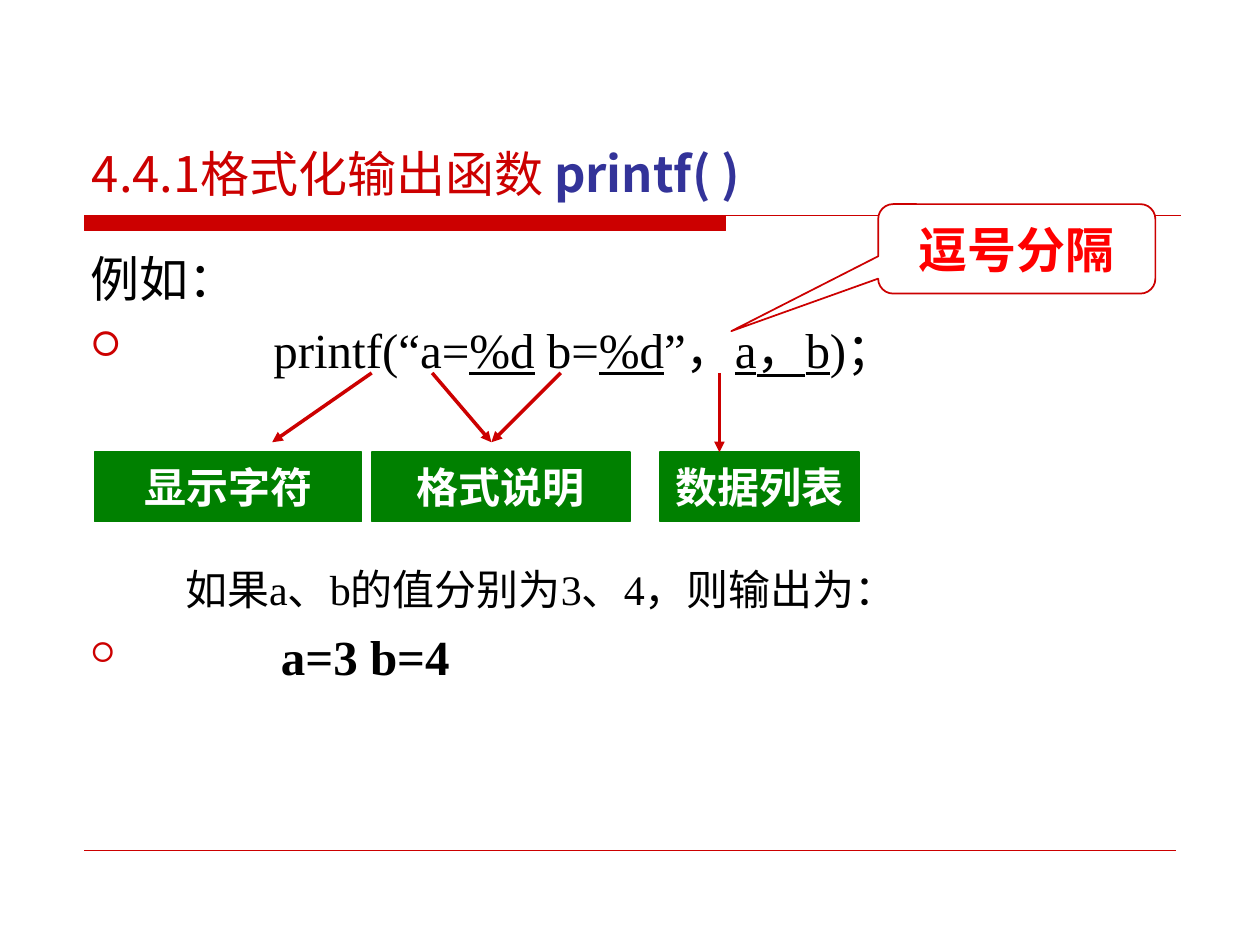
from lxml import etree
from pptx import Presentation
from pptx.dml.color import RGBColor
from pptx.enum.shapes import MSO_CONNECTOR, MSO_SHAPE
from pptx.enum.text import MSO_ANCHOR, MSO_AUTO_SIZE, PP_ALIGN
from pptx.oxml.ns import qn
from pptx.util import Inches, Pt

LEFT, CENTER = PP_ALIGN.LEFT, PP_ALIGN.CENTER
TOP, MIDDLE, BOTTOM = MSO_ANCHOR.TOP, MSO_ANCHOR.MIDDLE, MSO_ANCHOR.BOTTOM
RECT, CALLOUT = MSO_SHAPE.RECTANGLE, MSO_SHAPE.ROUNDED_RECTANGULAR_CALLOUT
STRAIGHT, NO_FIT = MSO_CONNECTOR.STRAIGHT, MSO_AUTO_SIZE.NONE

THEME = {
    "red": "CC0000", "blue": "333399", "green": "008000", "hot": "FF0000",
    "white": "FFFFFF", "black": "000000",
    "head": "Noto Sans CJK SC", "serif": "Times New Roman",
    "label": "DejaVu Sans", "asian": "Noto Sans CJK SC", "mark": "Wingdings",
    "big": 28, "small": 24,
}

TITLE = [("4.4.1格式化输出函数 ", "red", False), ("printf( )", "blue", True)]

# Runs are (text, underlined); bullet is a percentage of the text size.
BODY = [
    {"runs": [("例如：", False)], "size": "big", "indent": 0, "before": 0},
    {"runs": [("printf(“a=", False), ("%d", True), (" b=", False),
              ("%d", True), ("”，", False), ("a，b", True), (")；", False)],
     "size": "big", "indent": 1.45, "before": 7, "bullet": 70},
    {"runs": [("如果a、b的值分别为3、4，则输出为：", False)],
     "size": "small", "indent": 0.75, "before": 106},
    {"runs": [("a=3 b=4", False)], "size": "big", "indent": 1.51,
     "before": 7, "bullet": 56, "bold": True},
]

LABELS = [("显示字符", 0.75, 2.12), ("格式说明", 2.95, 2.05), ("数据列表", 5.24, 1.58)]
LABEL_TOP, LABEL_HIGH = 3.59, 0.55
ARROW_TOP = 2.96
ARROWS = [(2.95, 2.16, 3.51), (3.43, 3.9, 3.51), (4.45, 3.9, 3.51),
          (5.71, 5.71, LABEL_TOP)]


def color(name):
    return RGBColor.from_string(THEME[name])


def style(run, face, size, tint, bold=False, under=False):
    font = run.font
    font.name, font.size = THEME[face], Pt(THEME[size])
    font.bold, font.underline = bold, under
    font.color.rgb = color(tint)
    latin = run._r.rPr.find(qn("a:latin"))
    asian = etree.Element(qn("a:ea"), typeface=THEME["asian"])
    latin.addnext(asian)


def place(shape, left, top, wide, high, anchor):
    shape.left, shape.top = Inches(left), Inches(top)
    shape.width, shape.height = Inches(wide), Inches(high)
    frame = shape.text_frame
    frame.auto_size, frame.word_wrap = NO_FIT, True
    frame.vertical_anchor = anchor
    return frame


def mark(para, indent, bullet):
    """Set the hanging indent and the square bullet, or none."""
    props = para._p.get_or_add_pPr()
    props.set("marL", str(Inches(indent)))
    props.set("indent", str(-Inches(indent) if bullet else 0))
    if not bullet:
        etree.SubElement(props, qn("a:buNone"))
        return
    tint = etree.SubElement(props, qn("a:buClr"))
    etree.SubElement(tint, qn("a:srgbClr"), val=THEME["red"])
    etree.SubElement(props, qn("a:buSzPct"), val=str(bullet * 1000))
    etree.SubElement(props, qn("a:buFont"), typeface=THEME["mark"])
    etree.SubElement(props, qn("a:buChar"), char="□")


def box(slide, kind, area, fill, edge, width=1):
    shape = slide.shapes.add_shape(kind, *map(Inches, area))
    shape.shadow.inherit = False
    shape.fill.solid()
    shape.fill.fore_color.rgb = color(fill)
    shape.line.color.rgb = color(edge)
    shape.line.width = Pt(width)
    return shape


def label(shape, text, size, tint, wrap):
    frame = shape.text_frame
    frame.word_wrap, frame.vertical_anchor = wrap, MIDDLE
    frame.text = text
    para = frame.paragraphs[0]
    para.alignment = CENTER
    style(para.runs[0], "label", size, tint, bold=True)


def rule(slide, start, end, width, arrow=False):
    line = slide.shapes.add_connector(STRAIGHT, *map(Inches, start + end))
    line.line.color.rgb = color("red")
    line.line.width = Pt(width)
    if arrow:
        etree.SubElement(line.line._get_or_add_ln(), qn("a:tailEnd"), type="triangle")
    etree.SubElement(line._element.spPr, qn("a:effectLst"))


def main():
    deck = Presentation()
    deck.slide_width, deck.slide_height = Inches(10), Inches(7.5)
    slide = deck.slides.add_slide(deck.slide_layouts[1])
    title, body = slide.placeholders

    frame = place(title, 0.63, 0.33, 8.75, 1.33, BOTTOM)
    para = frame.paragraphs[0]
    para.alignment = LEFT
    for text, tint, bold in TITLE:
        run = para.add_run()
        run.text = text
        style(run, "head", "big", tint, bold)

    frame = place(body, 0.62, 1.92, 8.75, 4.67, TOP)
    for i, item in enumerate(BODY):
        para = frame.add_paragraph() if i else frame.paragraphs[0]
        para.alignment, para.space_before = LEFT, Pt(item["before"])
        mark(para, item["indent"], item.get("bullet"))
        for text, under in item["runs"]:
            run = para.add_run()
            run.text = text
            style(run, "serif", item["size"], "black", item.get("bold", False), under)

    box(slide, RECT, (0.67, 1.71, 5.09, 0.12), "red", "red", 0.75)
    rule(slide, (0.67, 1.71), (9.37, 1.71), 0.75)
    rule(slide, (0.67, 6.75), (9.33, 6.75), 0.25)

    for text, left, wide in LABELS:
        area = (left, LABEL_TOP, wide, LABEL_HIGH)
        label(box(slide, RECT, area, "green", "green"), text, "small", "white", False)
    for start, end, low in ARROWS:
        rule(slide, (start, ARROW_TOP), (end, low), 2, arrow=True)

    note = box(slide, CALLOUT, (6.97, 1.62, 2.2, 0.71), "white", "red")
    note.adjustments[0], note.adjustments[1] = -1.03, 0.92
    label(note, "逗号分隔", "big", "hot", True)

    deck.save("out.pptx")


if __name__ == "__main__":
    main()
